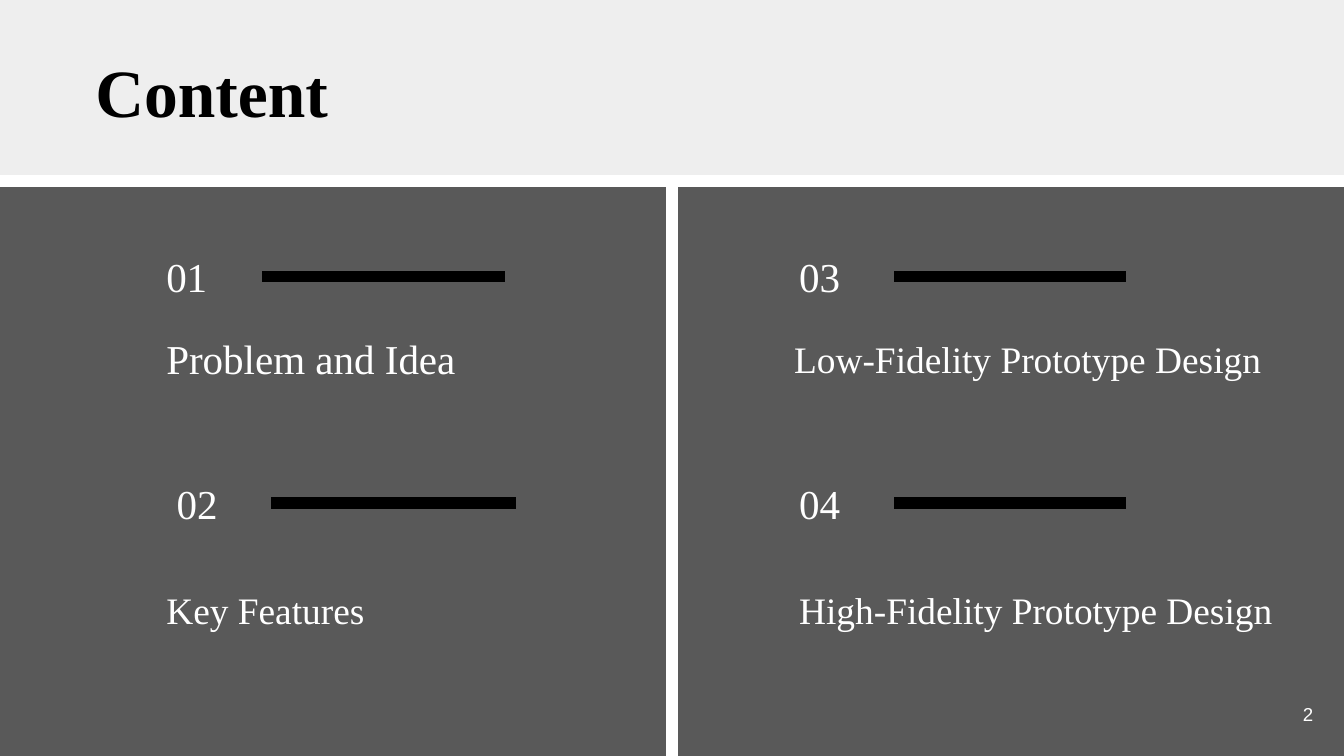
from dataclasses import dataclass

from pptx import Presentation
from pptx import util as u
from pptx.dml.color import RGBColor
from pptx.enum import shapes, text
from pptx.oxml.ns import qn
from pptx.slide import Slide
from lxml import etree

Pt = u.Pt

WIDTH, HEIGHT = 720, 405
BAND_TOP = 95
MIDDLE = WIDTH / 2
RULE_WIDTH = 6
INSET = 7.2

PALE = RGBColor(0xEE, 0xEE, 0xEE)
GREY = RGBColor(0x59, 0x59, 0x59)
WHITE = RGBColor(0xFF, 0xFF, 0xFF)
BLACK = RGBColor(0x00, 0x00, 0x00)

SERIF = "Times New Roman"
SANS = "Arial"


@dataclass(frozen=True)
class Label:
    wording: str
    left: float
    middle: float
    width: float
    height: float
    size: float
    color: RGBColor = WHITE
    font: str = SERIF
    bold: bool = False
    align: text.PP_ALIGN = text.PP_ALIGN.LEFT


@dataclass(frozen=True)
class Section:
    number: str
    number_left: float
    number_middle: float
    bar_left: float
    bar_right: float
    heading: str
    heading_left: float
    heading_middle: float
    heading_size: float


ROW_1, ROW_2 = 148, 269.5
HEADING_1, HEADING_2 = 192, 326.5

SECTIONS = [
    Section("01", 82, ROW_1, 140.4, 270.5, "Problem and Idea", 82, HEADING_1, 22),
    Section("02", 87.6, ROW_2, 145.4, 276.5, "Key Features", 82, HEADING_2, 20),
    Section("03", 421, ROW_1, 479, 603.4, "Low-Fidelity Prototype Design",
            418.3, HEADING_1, 20),
    Section("04", 421, ROW_2, 479, 603.4, "High-Fidelity Prototype Design",
            421, HEADING_2, 20),
]


def draw_label(slide: Slide, label: Label) -> None:
    """Place a one-line text box, centred vertically on label.middle."""
    box = slide.shapes.add_textbox(
        Pt(label.left), Pt(label.middle - label.height / 2),
        Pt(label.width), Pt(label.height))
    frame = box.text_frame
    frame.word_wrap = True
    frame.vertical_anchor = text.MSO_ANCHOR.MIDDLE
    frame.margin_left = frame.margin_right = Pt(INSET)
    frame.margin_top = frame.margin_bottom = Pt(INSET)
    paragraph = frame.paragraphs[0]
    paragraph.text = label.wording
    paragraph.alignment = label.align
    paragraph.font.name = label.font
    paragraph.font.size = Pt(label.size)
    paragraph.font.bold = label.bold
    paragraph.font.color.rgb = label.color


def draw_rule(slide: Slide, x1: float, y1: float, x2: float, y2: float,
              color: RGBColor) -> None:
    rule = slide.shapes.add_connector(
        shapes.MSO_CONNECTOR.STRAIGHT, Pt(x1), Pt(y1), Pt(x2), Pt(y2))
    rule.line.color.rgb = color
    rule.line.width = Pt(RULE_WIDTH)
    etree.SubElement(rule._element.spPr, qn("a:effectLst"))


def draw_backdrop(slide: Slide) -> None:
    slide.background.fill.solid()
    slide.background.fill.fore_color.rgb = PALE
    band = slide.shapes.add_shape(
        shapes.MSO_SHAPE.RECTANGLE, 0, Pt(BAND_TOP),
        Pt(WIDTH), Pt(HEIGHT - BAND_TOP))
    band.shadow.inherit = False
    band.fill.solid()
    band.fill.fore_color.rgb = GREY
    band.line.fill.background()
    draw_rule(slide, MIDDLE, BAND_TOP, MIDDLE, HEIGHT, WHITE)
    draw_rule(slide, 0, BAND_TOP + 2, WIDTH, BAND_TOP + 2, WHITE)


def draw_section(slide: Slide, section: Section) -> None:
    draw_label(slide, Label(section.number, section.number_left,
                            section.number_middle, 57.6, 35.3, 22))
    draw_rule(slide, section.bar_left, section.number_middle,
              section.bar_right, section.number_middle, BLACK)
    draw_label(slide, Label(section.heading, section.heading_left,
                            section.heading_middle, 278, 25.2,
                            section.heading_size))


def main() -> None:
    deck = Presentation()
    deck.slide_width, deck.slide_height = Pt(WIDTH), Pt(HEIGHT)
    slide = deck.slides.add_slide(deck.slide_layouts[6])

    draw_backdrop(slide)
    draw_label(slide, Label("Content", 44, 48.6, 607.7, 35.3, 36.2, BLACK, bold=True))
    for section in SECTIONS:
        draw_section(slide, section)
    draw_label(slide, Label("2", 667.4, 382.7, 43.2, 31, 10, font=SANS,
                            align=text.PP_ALIGN.RIGHT))

    deck.save("out.pptx")


if __name__ == "__main__":
    main()
